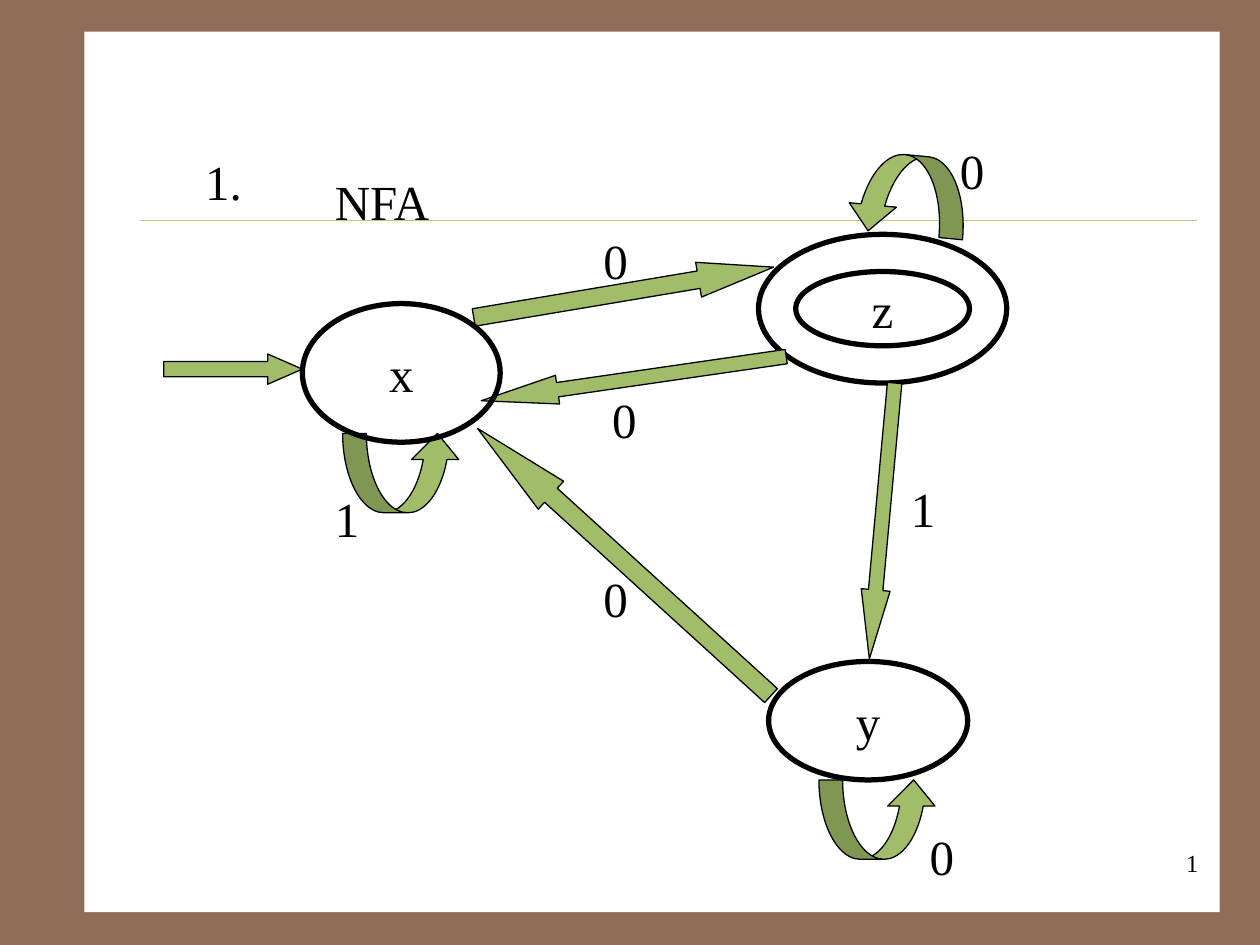
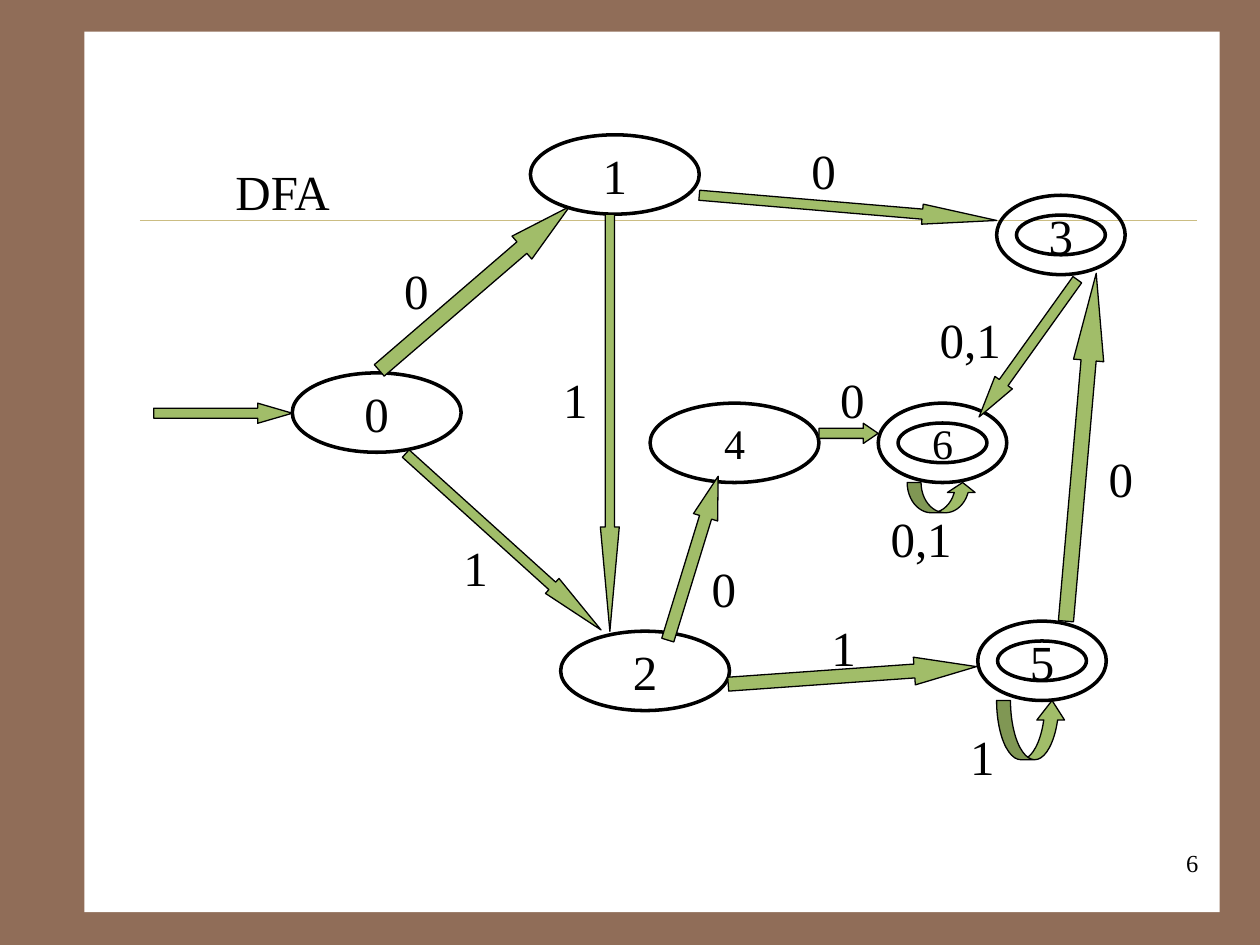
import math

import pptx
import pptx.dml.color
import pptx.enum.shapes
import pptx.enum.text
import pptx.oxml.ns
import pptx.util
from lxml import etree

Inches = pptx.util.Inches
Pt = pptx.util.Pt
SHAPE = pptx.enum.shapes.MSO_SHAPE
ALIGN = pptx.enum.text.PP_ALIGN

FRAME = "906D58"
PAPER = "FFFFFF"
RULE = "CBBD83"
ARROW = "A1BD69"
INK = "000000"
FONT = "Times New Roman"


def color(hex_code):
    """Turn a hex string into a colour."""
    return pptx.dml.color.RGBColor.from_string(hex_code)


def write(shape, text, size, align):
    """Set one line of text in a shape."""
    shape.text_frame.text = text
    paragraph = shape.text_frame.paragraphs[0]
    paragraph.alignment = align
    font = paragraph.runs[0].font
    font.name, font.size = FONT, Pt(size)
    font.color.rgb = color(INK)


def add_preset(slide, kind, box, fill=None, line_width=None):
    """Add a preset shape without shadow, optionally filled and outlined."""
    shape = slide.shapes.add_shape(kind, *map(Inches, box))
    shape.shadow.inherit = False
    if fill:
        shape.fill.solid()
        shape.fill.fore_color.rgb = color(fill)
    else:
        shape.fill.background()
    if line_width:
        shape.line.color.rgb = color(INK)
        shape.line.width = Pt(line_width)
    else:
        shape.line.fill.background()
    return shape


def add_label(slide, text, left, top, width=0.31, height=0.57, size=28, align=ALIGN.LEFT):
    """Add a text box with one line of text."""
    label = slide.shapes.add_textbox(*map(Inches, (left, top, width, height)))
    label.text_frame.word_wrap = True
    write(label, text, size, align)


def add_state(slide, name, box, ring, accepting=False, size=28):
    """Add an automaton state, with a double ring if it accepts."""
    state = add_preset(slide, SHAPE.DONUT if accepting else SHAPE.OVAL, box, line_width=ring)
    state.text_frame.word_wrap = False
    state.text_frame.vertical_anchor = pptx.enum.text.MSO_ANCHOR.MIDDLE
    write(state, name, size, ALIGN.CENTER)


def add_transition(slide, tail, tip, thickness):
    """Add a block arrow from tail to tip whose head takes a quarter of its length."""
    run, rise = tip[0] - tail[0], tip[1] - tail[1]
    length = math.hypot(run, rise)
    left = (tail[0] + tip[0] - length) / 2
    top = (tail[1] + tip[1] - thickness) / 2
    arrow = add_preset(slide, SHAPE.RIGHT_ARROW, (left, top, length, thickness), ARROW, 0.75)
    arrow.adjustments[1] = length / 4 / thickness
    arrow.rotation = math.degrees(math.atan2(rise, run)) % 360


def add_loop(slide, left, top, width, height, rotation=0):
    """Add a curved arrow from a state back to itself."""
    loop = add_preset(slide, SHAPE.CURVED_UP_ARROW, (left, top, width, height), ARROW, 0.75)
    loop.adjustments[0] = 0.2 * width / height
    loop.adjustments[1] = 0.4 * width / height
    loop.adjustments[2] = 0.33
    loop.rotation = rotation


def add_page(deck, number):
    """Add a slide with the frame, paper, rule and page number."""
    slide = deck.slides.add_slide(deck.slide_layouts[6])
    slide.background.fill.solid()
    slide.background.fill.fore_color.rgb = color(FRAME)
    add_preset(slide, SHAPE.RECTANGLE, (0.67, 0.25, 9.01, 6.99), PAPER)
    rule = slide.shapes.add_connector(
        pptx.enum.shapes.MSO_CONNECTOR.STRAIGHT, *map(Inches, (1.11, 1.75, 9.5, 1.75)))
    rule.line.color.rgb = color(RULE)
    rule.line.width = Pt(0.25)
    etree.SubElement(rule._element.spPr, pptx.oxml.ns.qn("a:effectLst"))
    add_label(slide, number, 7.53, 6.68, 2.08, 0.5, 14, ALIGN.RIGHT)
    return slide


def draw_nfa(deck):
    """Draw the nondeterministic automaton."""
    slide = add_page(deck, "1")
    add_state(slide, "z", (6.02, 1.86, 1.97, 1.18), 3, accepting=True)
    for tail, tip, thickness in (
        ((1.3, 2.93), (2.4, 2.93), 0.24),
        ((7.1, 3.04), (6.9, 5.23), 0.23),
        ((6.24, 2.83), (3.82, 3.18), 0.23),
        ((3.76, 2.52), (6.14, 2.12), 0.28),
        ((6.12, 5.52), (3.79, 3.4), 0.3),
    ):
        add_transition(slide, tail, tip, thickness)
    for left, top, rotation in ((2.72, 3.44, 0), (6.73, 1.23, 185.4), (6.5, 6.19, 0)):
        add_loop(slide, left, top, 0.94, 0.63, rotation)
    add_state(slide, "x", (2.4, 2.41, 1.57, 1.1), 3)
    add_state(slide, "y", (6.1, 5.25, 1.58, 0.94), 3)
    for symbol, left, top in (
        ("1", 2.56, 3.83), ("0", 7.52, 1.07), ("0", 4.69, 1.78), ("0", 7.28, 6.51),
        ("0", 4.69, 4.46), ("1", 7.13, 3.75), ("0", 4.76, 3.04),
    ):
        add_label(slide, symbol, left, top)
    add_label(slide, "1.", 1.53, 1.15, 0.87)
    add_label(slide, "NFA", 2.56, 1.31, 1.26)


def draw_dfa(deck):
    """Draw the deterministic automaton."""
    slide = add_page(deck, "6")
    for name, left, top, size in (
        ("0", 2.32, 2.96, 28), ("1", 4.21, 1.07, 28), ("2", 4.45, 5.01, 28), ("4", 5.16, 3.2, 24),
    ):
        add_state(slide, name, (left, top, 1.34, 0.63), 2, size=size)
    for name, left, top, size in (("3", 7.91, 1.55, 28), ("5", 7.76, 4.93, 28), ("6", 6.97, 3.2, 24)):
        add_state(slide, name, (left, top, 1.02, 0.63), 2, accepting=True, size=size)
    for tail, tip, thickness in (
        ((1.22, 3.28), (2.32, 3.28), 0.16),
        ((5.55, 1.55), (7.91, 1.75), 0.16),
        ((3.01, 2.94), (4.52, 1.64), 0.24),
        ((8.55, 2.22), (7.77, 3.31), 0.17),
        ((5.78, 5.43), (7.75, 5.29), 0.22),
        ((4.84, 1.7), (4.84, 5.01), 0.15),
        ((5.3, 5.08), (5.7, 3.78), 0.2),
        ((3.22, 3.6), (4.77, 5), 0.16),
        ((6.5, 3.44), (6.97, 3.44), 0.16),
        ((8.46, 4.93), (8.7, 2.17), 0.24),
    ):
        add_transition(slide, tail, tip, thickness)
    add_loop(slide, 7.2, 3.83, 0.55, 0.24)
    add_loop(slide, 7.91, 5.56, 0.55, 0.47)
    for symbol, left, top in (
        ("0", 3.11, 2.02), ("0", 6.34, 1.07), ("1", 3.58, 4.22), ("0", 5.55, 4.38),
        ("1", 4.37, 2.88), ("1", 7.6, 5.72), ("0", 8.7, 3.51), ("1", 6.5, 4.85), ("0", 6.57, 2.88),
    ):
        add_label(slide, symbol, left, top)
    for left, top in ((7.36, 2.41), (6.97, 3.99)):
        add_label(slide, "0,1", left, top, 0.87)
    add_label(slide, "DFA", 1.77, 1.23, 1.18)


def main():
    """Build the deck and save it."""
    deck = pptx.Presentation()
    deck.slide_width, deck.slide_height = Inches(10), Inches(7.5)
    draw_nfa(deck)
    draw_dfa(deck)
    deck.save("out.pptx")


if __name__ == "__main__":
    main()
